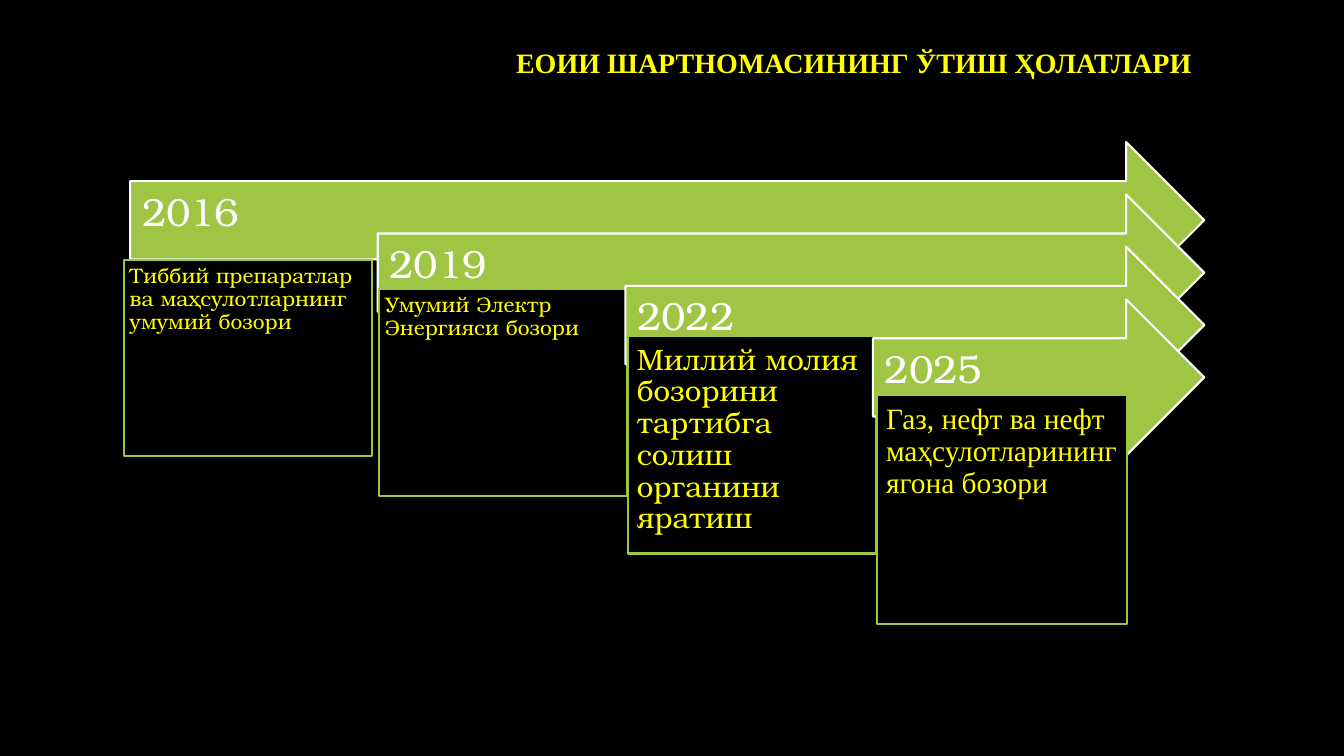
from dataclasses import dataclass

from pptx import Presentation
from pptx.dml.color import RGBColor
from pptx.enum.shapes import MSO_SHAPE
from pptx.enum.text import MSO_ANCHOR, MSO_AUTO_SIZE, PP_ALIGN
from pptx.util import Cm, Pt

ARROW, RECT = MSO_SHAPE.RIGHT_ARROW, MSO_SHAPE.RECTANGLE
TOP, MIDDLE = MSO_ANCHOR.TOP, MSO_ANCHOR.MIDDLE
LEFT, RIGHT = PP_ALIGN.LEFT, PP_ALIGN.RIGHT
NO_AUTOFIT = MSO_AUTO_SIZE.NONE

BLACK, WHITE, GREEN, YELLOW = "000000", "FFFFFF", "9EC544", "FFFF00"
BONUM, TIMES = "TeX Gyre Bonum", "Times New Roman"

# Arrow cascade, in cm: every arrow ends at the same right edge
ARROW_LEFT, ARROW_TOP, ARROW_RIGHT = 3.28, 3.58, 30.35
STEP_X, STEP_Y, ARROW_HEIGHT = 6.24, 1.32, 3.94


@dataclass
class Box:
    """Position and size in cm."""
    left: float
    top: float
    width: float
    height: float

    def lengths(self) -> list:
        return [Cm(v) for v in (self.left, self.top, self.width, self.height)]


@dataclass
class TextStyle:
    size: int
    font: str
    color: str
    insets: tuple  # left, top, right, bottom in cm
    anchor: MSO_ANCHOR = TOP
    align: PP_ALIGN = LEFT
    bold: bool = False


@dataclass
class Stage:
    year: str
    text: str
    box: Box
    style: TextStyle


TITLE = TextStyle(20, TIMES, YELLOW, (0.25, 0.13, 0.25, 0.13), MIDDLE, RIGHT, True)
YEAR = TextStyle(28, BONUM, WHITE, (0.3, 0.3, 0.71, 0.64), MIDDLE)
SMALL = TextStyle(15, BONUM, YELLOW, (0.15,) * 4)
LARGE = TextStyle(21, BONUM, YELLOW, (0.23,) * 4)
LARGE_TIMES = TextStyle(21, TIMES, YELLOW, (0.23,) * 4)

STAGES = [
    Stage("2016", "Тиббий препаратлар ва маҳсулотларнинг умумий бозори",
          Box(3.12, 6.55, 6.25, 4.95), SMALL),
    Stage("2019", "Умумий Электр Энергияси бозори",
          Box(9.55, 7.27, 6.25, 5.23), SMALL),
    Stage("2022", "Миллий молия бозорини тартибга солиш органини яратиш",
          Box(15.82, 8.46, 6.25, 5.49), LARGE),
    Stage("2025", "Газ, нефт ва нефт маҳсулотларининг ягона бозори",
          Box(22.1, 9.96, 6.3, 5.77), LARGE_TIMES),
]


def rgb(value: str) -> RGBColor:
    return RGBColor.from_string(value)


def set_attrs(obj, values: dict) -> None:
    for name, value in values.items():
        setattr(obj, name, value)


def write_text(sp, text: str, style: TextStyle) -> None:
    tf = sp.text_frame
    left, top, right, bottom = (Cm(v) for v in style.insets)
    set_attrs(tf, {"word_wrap": True, "auto_size": NO_AUTOFIT,
                   "vertical_anchor": style.anchor,
                   "margin_left": left, "margin_top": top,
                   "margin_right": right, "margin_bottom": bottom})
    p = tf.paragraphs[0]
    set_attrs(p, {"alignment": style.align, "line_spacing": 0.9})
    r = p.add_run()
    r.text = text
    set_attrs(r.font, {"size": Pt(style.size), "name": style.font, "bold": style.bold})
    r.font.color.rgb = rgb(style.color)


def add_block(slide, kind: MSO_SHAPE, box: Box, fill: str, line: str,
              text: str, style: TextStyle) -> None:
    sp = slide.shapes.add_shape(kind, *box.lengths())
    sp.shadow.inherit = False
    sp.fill.solid()
    sp.fill.fore_color.rgb = rgb(fill)
    sp.line.color.rgb = rgb(line)
    sp.line.width = Pt(1.5)
    write_text(sp, text, style)


def main() -> None:
    prs = Presentation()
    prs.slide_width, prs.slide_height = Cm(33.87), Cm(19.05)
    slide = prs.slides.add_slide(prs.slide_layouts[5])
    slide.background.fill.solid()
    slide.background.fill.fore_color.rgb = rgb(BLACK)

    # Title
    title = slide.shapes.title
    left, top, width, height = Box(2.87, 0.71, 27.41, 1.83).lengths()
    set_attrs(title, {"left": left, "top": top, "width": width, "height": height})
    write_text(title, "ЕОИИ ШАРТНОМАСИНИНГ ЎТИШ ҲОЛАТЛАРИ", TITLE)

    # Cascading year arrows, each with its description box
    for i, stage in enumerate(STAGES):
        x = ARROW_LEFT + i * STEP_X
        arrow = Box(x, ARROW_TOP + i * STEP_Y, ARROW_RIGHT - x, ARROW_HEIGHT)
        add_block(slide, ARROW, arrow, GREEN, WHITE, stage.year, YEAR)
        add_block(slide, RECT, stage.box, BLACK, GREEN, stage.text, stage.style)

    prs.save("out.pptx")


if __name__ == "__main__":
    main()
